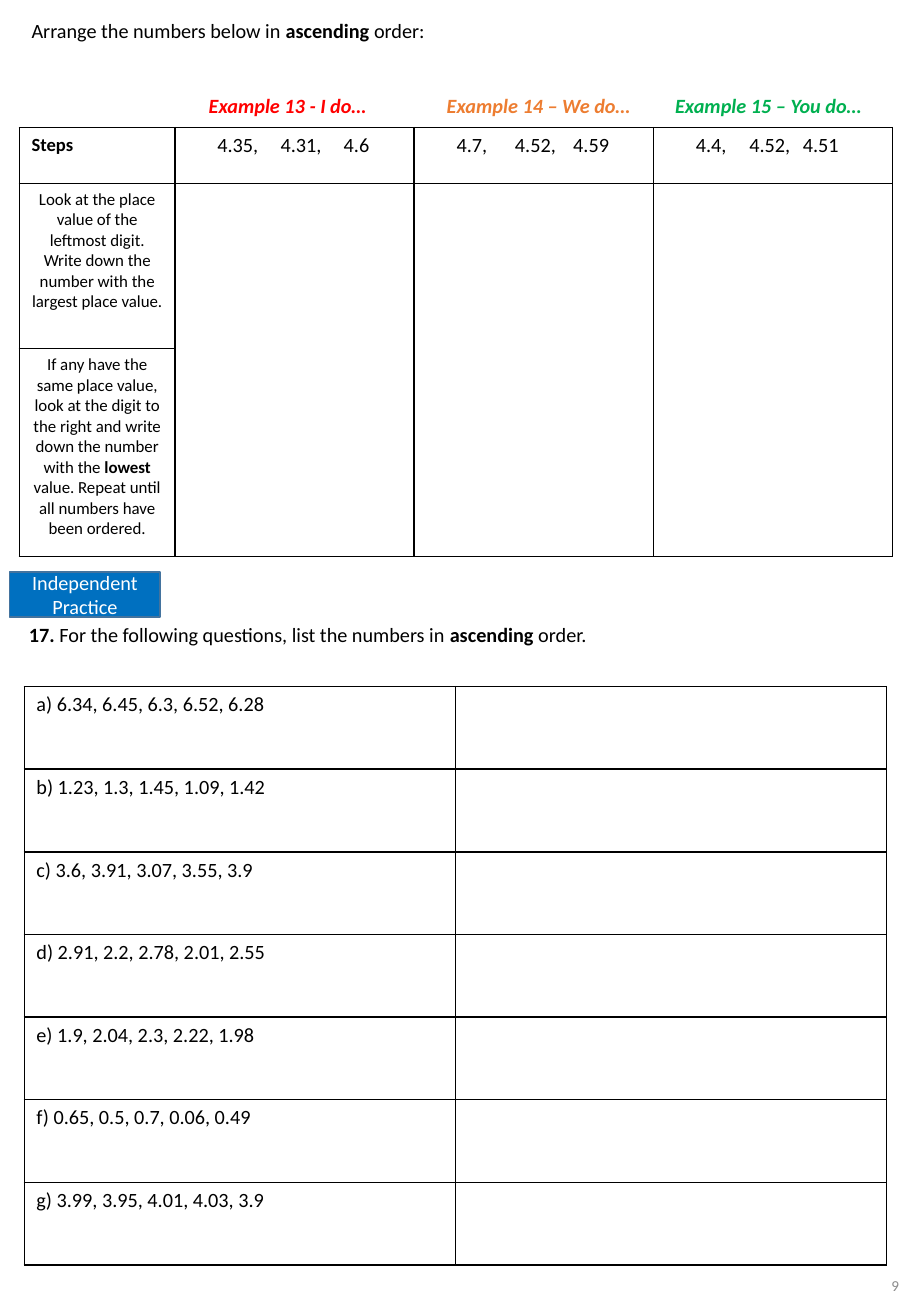
"""Build a worksheet page on putting decimals in ascending order."""
import pptx
import pptx.dml.color
import pptx.enum.shapes
import pptx.enum.text
import pptx.oxml.ns
import pptx.util
from lxml import etree

EMU_PER_PX = 9144
BLACK, WHITE = "000000", "FFFFFF"
ALIGN = pptx.enum.text.PP_ALIGN
MIDDLE = pptx.enum.text.MSO_ANCHOR.MIDDLE
EXAMPLES = [
    ("Example 13 - I do…", "FF0000", 162, 154, "4.35,\t4.31,\t4.6", 52),
    ("Example 14 – We do…", "ED7D31", 358, 180, "4.7,\t4.52,\t4.59", 48),
    ("Example 15 – You do…", "00B050", 546, 180, "4.4,\t4.52,\t4.51", 44),
]
STEPS = [
    "Look at the place value of the leftmost digit. Write down the number "
    "with the largest place value.",
    "If any have the same place value, look at the digit to the right and write "
    "down the number with the **lowest** value. Repeat until all numbers have "
    "been ordered.",
]
QUESTIONS = [
    "a) 6.34, 6.45, 6.3, 6.52, 6.28",
    "b) 1.23, 1.3, 1.45, 1.09, 1.42",
    "c) 3.6, 3.91, 3.07, 3.55, 3.9",
    "d) 2.91, 2.2, 2.78, 2.01, 2.55",
    "e) 1.9, 2.04, 2.3, 2.22, 1.98",
    "f) 0.65, 0.5, 0.7, 0.06, 0.49",
    "g) 3.99, 3.95, 4.01, 4.03, 3.9",
]


def px(length):
    return pptx.util.Emu(length * EMU_PER_PX)


def rgb(code):
    return pptx.dml.color.RGBColor.from_string(code)


def sub(parent, tag, **attributes):
    return etree.SubElement(parent, pptx.oxml.ns.qn(tag), attributes)


def write(frame, text, size=12, color=BLACK, bold=False, italic=False,
          align=ALIGN.LEFT, tab_step=None):
    frame.word_wrap = True
    paragraph = frame.paragraphs[0]
    paragraph.alignment = align
    if tab_step:
        stops = sub(paragraph._p.get_or_add_pPr(), "a:tabLst")
        for number in range(1, text.count("\t") + 1):
            sub(stops, "a:tab", pos=str(px(number * tab_step)), algn="l")
    for index, part in enumerate(text.split("**")):
        if part:
            run = paragraph.add_run()
            run.text = part
            run.font.name = "Calibri"
            run.font.size = pptx.util.Pt(size)
            run.font.color.rgb = rgb(color)
            run.font.bold = bold or index % 2 == 1
            run.font.italic = italic


def add_label(slide, box, text, anchor=pptx.enum.text.MSO_ANCHOR.TOP, **style):
    frame = slide.shapes.add_textbox(*map(px, box)).text_frame
    frame.vertical_anchor = anchor
    write(frame, text, **style)


def add_banner(slide, box, text):
    banner = slide.shapes.add_shape(
        pptx.enum.shapes.MSO_SHAPE.RECTANGLE, *map(px, box))
    banner.shadow.inherit = False
    banner.fill.solid()
    banner.fill.fore_color.rgb = rgb("0070C0")
    banner.line.color.rgb = rgb("43739E")
    banner.line.width = pptx.util.Pt(1)
    banner.text_frame.vertical_anchor = MIDDLE
    write(banner.text_frame, text, color=WHITE, align=ALIGN.CENTER)


def draw_borders(cell, sides):
    properties = cell._tc.get_or_add_tcPr()
    for position, side in enumerate(sides):
        line = etree.Element(pptx.oxml.ns.qn(f"a:ln{side}"), w="12700")
        sub(sub(line, "a:solidFill"), "a:srgbClr", val=BLACK)
        properties.insert(position, line)


def add_grid(slide, left, top, columns, rows, fill=None, open_rows=0):
    grid = slide.shapes.add_table(
        len(rows), len(columns), px(left), px(top),
        px(sum(columns)), px(sum(rows))).table
    grid.first_row = grid.horz_banding = False
    for column, width in zip(grid.columns, columns):
        column.width = px(width)
    for index, (row, height) in enumerate(zip(grid.rows, rows)):
        row.height = px(height)
        for cell in row.cells:
            if fill:
                cell.fill.solid()
                cell.fill.fore_color.rgb = rgb(fill)
            else:
                cell.fill.background()
            if index >= open_rows:
                draw_borders(cell, "LRTB")
            elif index == open_rows - 1:
                draw_borders(cell, "B")
    return grid


def add_examples(slide):
    grid = add_grid(slide, 16, 11, [128, 197, 197, 197],
                    [48, 46, 46, 136, 171], fill=WHITE, open_rows=2)
    grid.cell(0, 0).merge(grid.cell(0, 3))
    grid.cell(1, 1).merge(grid.cell(1, 3))
    write(grid.cell(0, 0).text_frame,
          "Arrange the numbers below in **ascending** order:")
    write(grid.cell(2, 0).text_frame, "Steps", size=11, bold=True)
    for row, step in enumerate(STEPS, 3):
        write(grid.cell(row, 0).text_frame, step, size=10, align=ALIGN.CENTER)
    for column, (title, color, left, width, numbers, gap) in enumerate(EXAMPLES, 1):
        grid.cell(3, column).merge(grid.cell(4, column))
        problem = grid.cell(2, column)
        problem.margin_left = px(35)
        write(problem.text_frame, numbers, tab_step=gap)
        add_label(slide, (left, 72, width, 30), title,
                  color=color, bold=True, italic=True)


def add_practice(slide):
    grid = add_grid(slide, 20, 565, [355, 355], [68] * len(QUESTIONS))
    for row, question in enumerate(QUESTIONS):
        write(grid.cell(row, 0).text_frame, question)
    add_label(slide, (14, 507, 620, 30),
              "**17. **For the following questions, list the numbers in "
              "**ascending** order.")
    add_banner(slide, (8, 471, 124, 37), "Independent Practice")


def main():
    deck = pptx.Presentation()
    deck.slide_width, deck.slide_height = px(750), px(1083)
    slide = deck.slides.add_slide(deck.slide_layouts[6])
    add_label(slide, (581, 1029, 169, 58), "9", anchor=MIDDLE,
              size=9, color="8C8C8C", align=ALIGN.RIGHT)
    add_examples(slide)
    add_practice(slide)
    deck.save("out.pptx")


if __name__ == "__main__":
    main()
